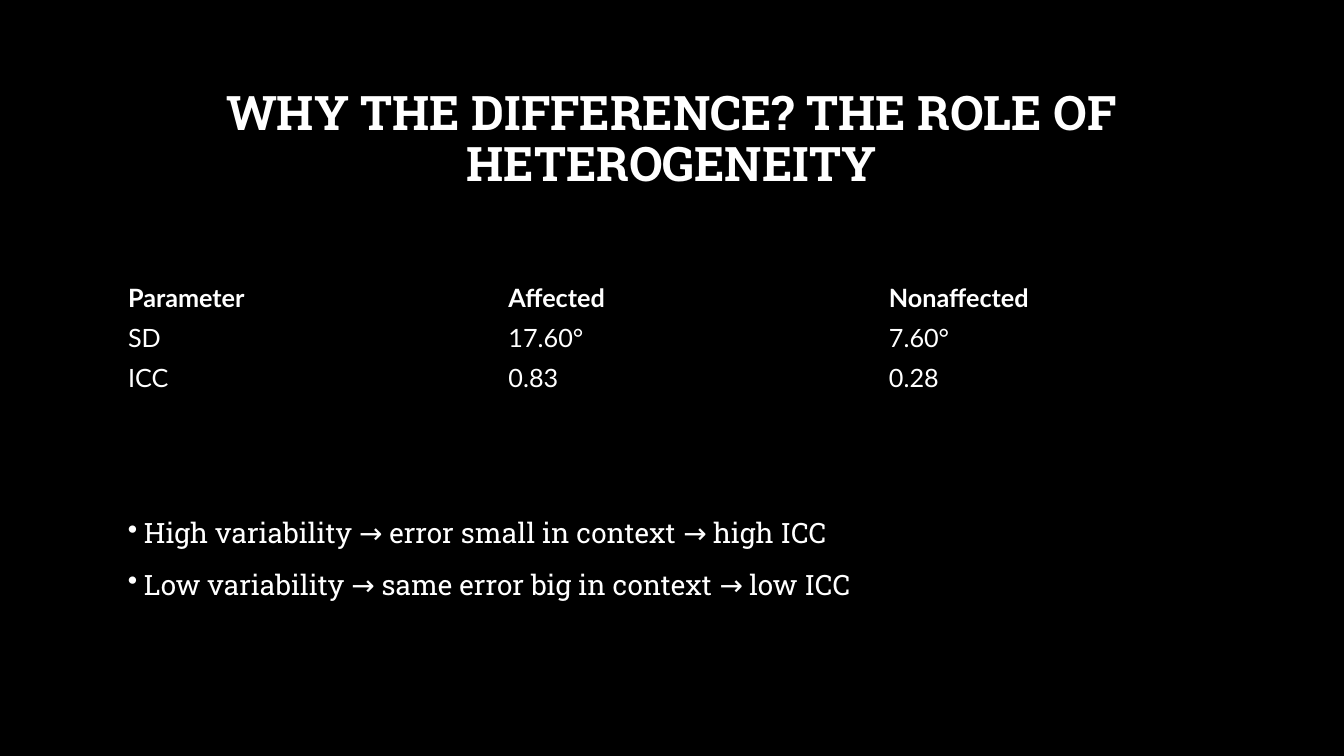
from dataclasses import dataclass

import pptx
import pptx.dml.color
import pptx.enum.text
import pptx.oxml.ns
import pptx.util
from lxml import etree

Inches = pptx.util.Inches
Pt = pptx.util.Pt


@dataclass(frozen=True)
class Theme:
    background: str = "000000"
    text: str = "FFFFFF"
    slab: str = "Roboto Slab"
    sans: str = "Lato"
    title_size: int = 34
    body_size: int = 20
    table_size: int = 18


@dataclass(frozen=True)
class Box:
    """Position and size in inches."""
    left: float
    top: float
    width: float
    height: float

    def lengths(self) -> tuple:
        return tuple(Inches(side) for side in (self.left, self.top, self.width, self.height))


@dataclass(frozen=True)
class Measurement:
    parameter: str
    affected: str
    nonaffected: str

    def values(self) -> tuple[str, str, str]:
        return self.parameter, self.affected, self.nonaffected


THEME = Theme()
SLIDE_WIDTH, SLIDE_HEIGHT = 13.33, 7.5
CONTENT_LEFT, CONTENT_WIDTH = 1.17, 11.32
ROW_HEIGHT = 0.4
BULLET_INDENT = 0.16

TITLE = "WHY THE DIFFERENCE? THE ROLE OF HETEROGENEITY"
MEASUREMENTS = [
    Measurement("Parameter", "Affected", "Nonaffected"),
    Measurement("SD", "17.60°", "7.60°"),
    Measurement("ICC", "0.83", "0.28"),
]
CONCLUSIONS = [
    "High variability → error small in context → high ICC",
    "Low variability → same error big in context → low ICC",
]

TITLE_BOX = Box(1, 0.67, CONTENT_WIDTH, 1.45)
TABLE_BOX = Box(CONTENT_LEFT, 2.75, CONTENT_WIDTH, ROW_HEIGHT * len(MEASUREMENTS))
CONCLUSIONS_BOX = Box(CONTENT_LEFT, 5, 8.33, 1.29)


def format_runs(paragraph, font_name: str, size: int, bold: bool = False) -> None:
    for run in paragraph.runs:
        run.font.name = font_name
        run.font.size = Pt(size)
        run.font.bold = bold
        run.font.color.rgb = pptx.dml.color.RGBColor.from_string(THEME.text)


def add_bullet(paragraph) -> None:
    properties = paragraph._p.get_or_add_pPr()
    properties.set("marL", str(Inches(BULLET_INDENT)))
    properties.set("indent", str(-Inches(BULLET_INDENT)))
    bullet = etree.SubElement(properties, pptx.oxml.ns.qn("a:buChar"))
    bullet.set("char", "•")


def place_title(slide) -> None:
    title = slide.shapes.title
    title.left, title.top, title.width, title.height = TITLE_BOX.lengths()
    frame = title.text_frame
    frame.text = TITLE
    frame.word_wrap = True
    frame.auto_size = pptx.enum.text.MSO_AUTO_SIZE.NONE
    frame.vertical_anchor = pptx.enum.text.MSO_ANCHOR.MIDDLE
    paragraph = frame.paragraphs[0]
    paragraph.alignment = pptx.enum.text.PP_ALIGN.CENTER
    paragraph.line_spacing = 0.9
    format_runs(paragraph, THEME.slab, THEME.title_size, bold=True)


def add_measurements(slide) -> None:
    column_count = len(MEASUREMENTS[0].values())
    frame = slide.shapes.add_table(len(MEASUREMENTS), column_count, *TABLE_BOX.lengths())
    table = frame.table
    table.horz_banding = False
    for row, measurement in enumerate(MEASUREMENTS):
        for column, value in enumerate(measurement.values()):
            cell = table.cell(row, column)
            cell.text = value
            cell.fill.solid()
            cell.fill.fore_color.rgb = pptx.dml.color.RGBColor.from_string(THEME.background)
            cell.vertical_anchor = pptx.enum.text.MSO_ANCHOR.MIDDLE
            format_runs(cell.text_frame.paragraphs[0], THEME.sans, THEME.table_size, bold=row == 0)
            remove_borders(cell)


def remove_borders(cell) -> None:
    properties = cell._tc.get_or_add_tcPr()
    for position, side in enumerate(("lnL", "lnR", "lnT", "lnB")):
        border = etree.Element(pptx.oxml.ns.qn(f"a:{side}"), w="0")
        etree.SubElement(border, pptx.oxml.ns.qn("a:noFill"))
        properties.insert(position, border)


def add_conclusions(slide) -> None:
    frame = slide.shapes.add_textbox(*CONCLUSIONS_BOX.lengths()).text_frame
    frame.word_wrap = True
    frame.text = "\n".join(CONCLUSIONS)
    for position, paragraph in enumerate(frame.paragraphs):
        paragraph.line_spacing = 1.2
        if position:
            paragraph.space_before = Pt(8)
        add_bullet(paragraph)
        format_runs(paragraph, THEME.slab, THEME.body_size)


def main() -> None:
    presentation = pptx.Presentation()
    presentation.slide_width = Inches(SLIDE_WIDTH)
    presentation.slide_height = Inches(SLIDE_HEIGHT)
    title_only = presentation.slide_layouts[5]
    slide = presentation.slides.add_slide(title_only)
    slide.background.fill.solid()
    slide.background.fill.fore_color.rgb = pptx.dml.color.RGBColor.from_string(THEME.background)
    place_title(slide)
    add_conclusions(slide)
    add_measurements(slide)
    presentation.save("out.pptx")


if __name__ == "__main__":
    main()
